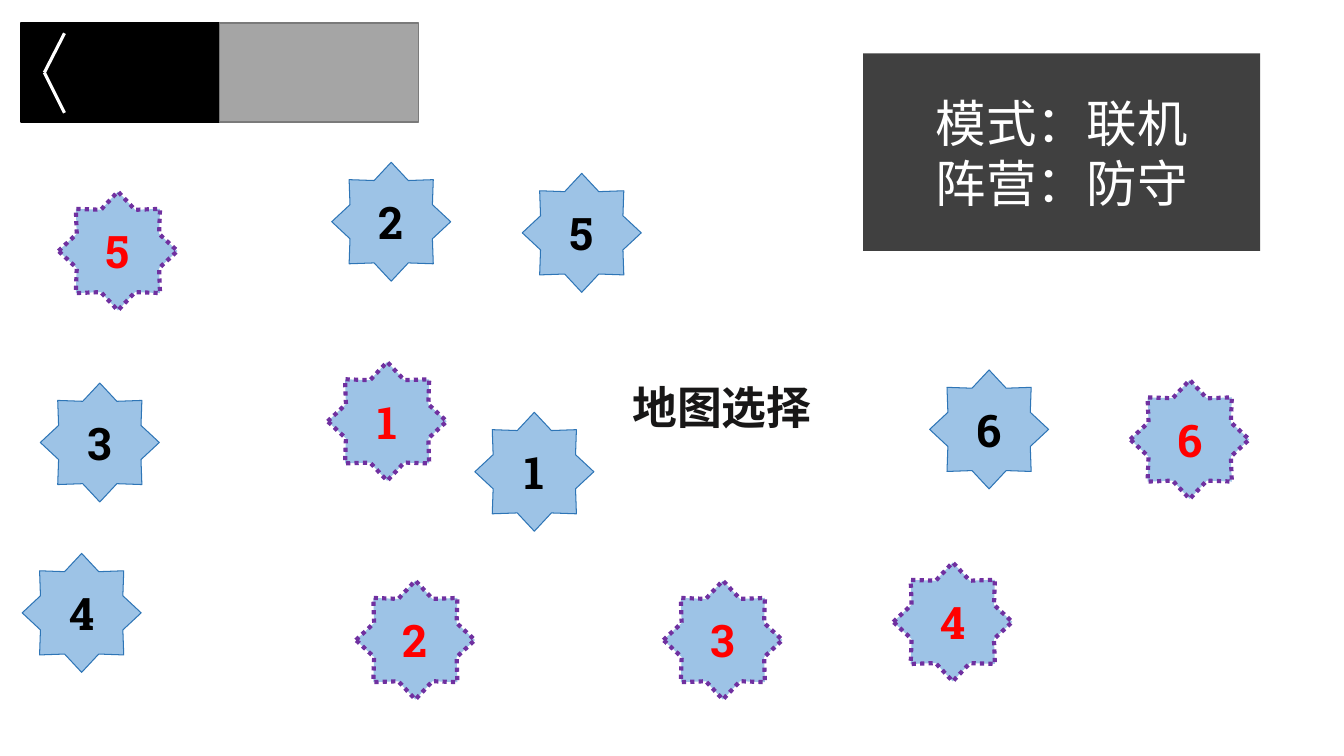
from dataclasses import dataclass

from pptx import Presentation
from pptx.dml.color import RGBColor
from pptx.enum.dml import MSO_LINE
from pptx.enum.shapes import MSO_CONNECTOR, MSO_SHAPE
from pptx.enum.text import MSO_ANCHOR, MSO_AUTO_SIZE, PP_ALIGN
from pptx.oxml.ns import qn
from pptx.util import Inches, Pt

RECTANGLE, STAR = MSO_SHAPE.RECTANGLE, MSO_SHAPE.STAR_8_POINT
STRAIGHT = MSO_CONNECTOR.STRAIGHT
DOTTED = MSO_LINE.ROUND_DOT
TOP, MIDDLE = MSO_ANCHOR.TOP, MSO_ANCHOR.MIDDLE
LEFT, CENTER = PP_ALIGN.LEFT, PP_ALIGN.CENTER
GROW = MSO_AUTO_SIZE.SHAPE_TO_FIT_TEXT
TITLE_ONLY = 5


@dataclass(frozen=True)
class Theme:
    black: RGBColor = RGBColor(0x00, 0x00, 0x00)
    white: RGBColor = RGBColor(0xFF, 0xFF, 0xFF)
    red: RGBColor = RGBColor(0xFF, 0x00, 0x00)
    purple: RGBColor = RGBColor(0x70, 0x30, 0xA0)
    blue: RGBColor = RGBColor(0x2E, 0x75, 0xB6)
    light_blue: RGBColor = RGBColor(0x9D, 0xC3, 0xE6)
    ink: RGBColor = RGBColor(0x18, 0x17, 0x17)
    panel: RGBColor = RGBColor(0x40, 0x40, 0x40)
    gray: RGBColor = RGBColor(0xA5, 0xA5, 0xA5)
    gray_edge: RGBColor = RGBColor(0x7A, 0x7A, 0x7A)
    chinese_font: str = "Noto Sans CJK JP"
    number_font: str = "Roboto Slab"
    panel_size: int = 36
    label_size: int = 32


theme = Theme()


def add_box(kind, left, top, width, height, fill, edge=None, weight=1):
    box = page.shapes.add_shape(
        kind, Inches(left), Inches(top), Inches(width), Inches(height))
    box.shadow.inherit = False
    box.fill.solid()
    box.fill.fore_color.rgb = fill
    if edge is None:
        box.line.fill.background()
    else:
        box.line.color.rgb = edge
        box.line.width = Pt(weight)
    return box


def write(box, lines, face, size, color, bold=False, align=CENTER, anchor=MIDDLE):
    frame = box.text_frame
    frame.text = "\n".join(lines)
    frame.vertical_anchor = anchor
    for para in frame.paragraphs:
        para.alignment = align
        font = para.font
        font.name, font.size, font.bold = face, Pt(size), bold
        font.color.rgb = color
        east_asian = font._element.makeelement(qn("a:ea"), {"typeface": face})
        font._element.find(qn("a:latin")).addnext(east_asian)


deck = Presentation()
deck.slide_width, deck.slide_height = Inches(13.33), Inches(7.5)
page = deck.slides.add_slide(deck.slide_layouts[TITLE_ONLY])

title = page.shapes.title
title.left, title.top = Inches(6.17), Inches(3.72)
title.width, title.height = Inches(2), Inches(0.64)
write(title, ["地图选择"], theme.chinese_font, theme.label_size, theme.ink,
      bold=True, align=LEFT, anchor=TOP)
title.text_frame.word_wrap = False
title.text_frame.auto_size = GROW

button_left, button_top, button_width, button_height = 0.21, 0.23, 1.97, 0.98
button_colors = [(theme.black, theme.black), (theme.gray, theme.gray_edge)]
for column, (fill, edge) in enumerate(button_colors):
    add_box(RECTANGLE, button_left + column * button_width, button_top,
            button_width, button_height, fill, edge)

for arm_end in (0.33, 1.12):
    arm = page.shapes.add_connector(
        STRAIGHT, Inches(0.64), Inches(arm_end), Inches(0.44), Inches(0.72))
    arm.line.color.rgb = theme.white
    arm.line.width = Pt(2.25)
    properties = arm._element.spPr
    properties.append(properties.makeelement(qn("a:effectLst"), {}))

mode_panel = add_box(RECTANGLE, 8.56, 0.53, 3.94, 1.96, theme.panel)
write(mode_panel, ["模式：联机", "阵营：防守"], theme.chinese_font,
      theme.panel_size, theme.white)

star_size = 1.18
dotted_stars = [(1, 3.25, 3.59), (2, 3.53, 5.76), (3, 6.58, 5.76),
                (4, 8.86, 5.58), (5, 0.58, 1.9), (6, 11.21, 3.77)]
plain_stars = [(1, 4.71, 4.09), (2, 3.29, 1.61), (3, 0.4, 3.8),
               (4, 0.22, 5.49), (5, 5.18, 1.72), (6, 9.22, 3.67)]
star_styles = [
    (dotted_stars, theme.purple, 3, DOTTED, theme.red),
    (plain_stars, theme.blue, 0.75, None, theme.black),
]
for stars, edge, weight, dash, color in star_styles:
    for number, left, top in stars:
        star = add_box(STAR, left, top, star_size, star_size,
                       theme.light_blue, edge, weight)
        star.line.dash_style = dash
        write(star, [str(number)], theme.number_font, theme.label_size, color, bold=True)

deck.save("out.pptx")
